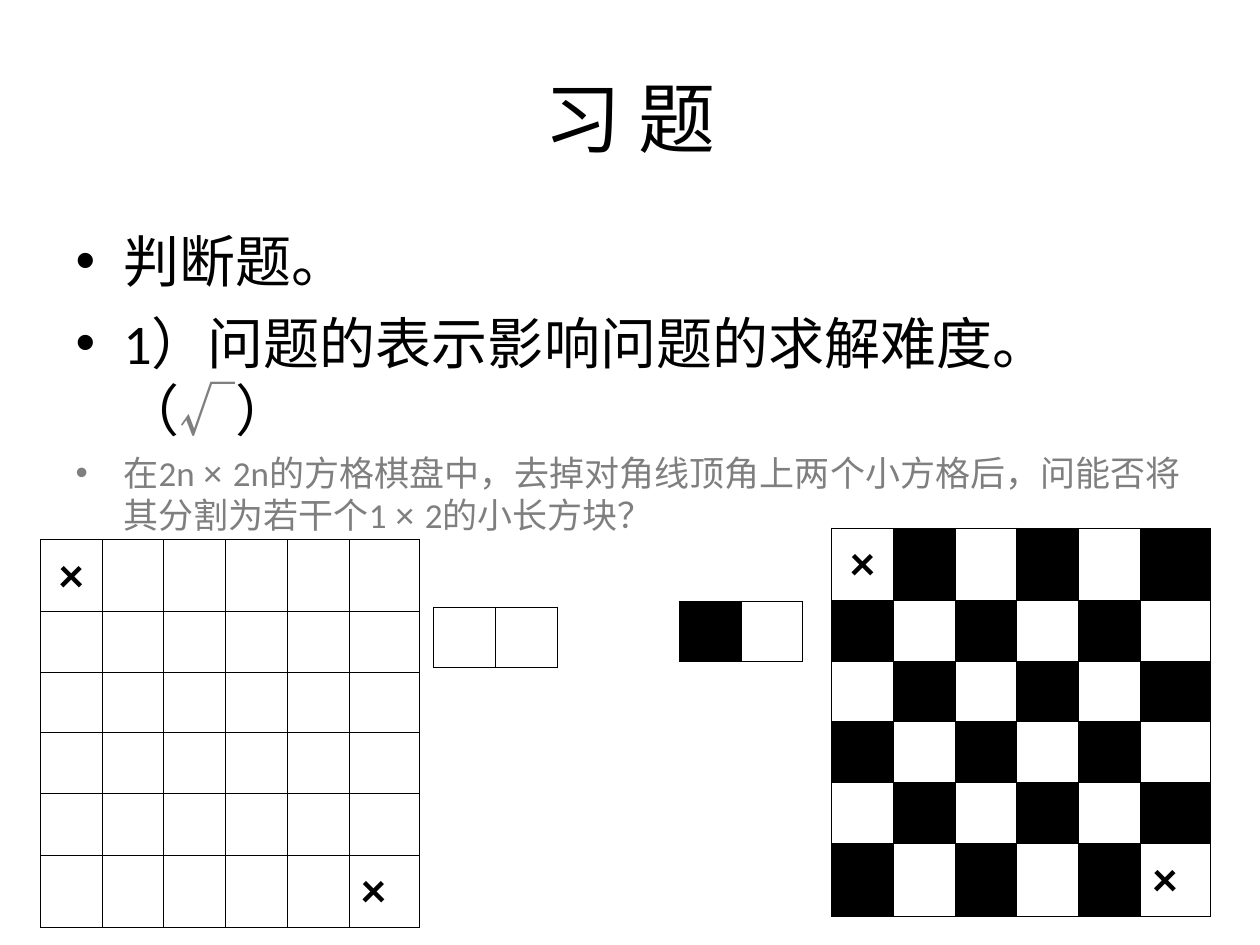
from lxml.etree import SubElement
from pptx import Presentation
from pptx.dml.color import RGBColor
from pptx.enum.text import MSO_ANCHOR, MSO_AUTO_SIZE, PP_ALIGN
from pptx.oxml.ns import qn
from pptx.util import Inches, Pt

BLACK = RGBColor(0x00, 0x00, 0x00)
WHITE = RGBColor(0xFF, 0xFF, 0xFF)
GRAY = RGBColor(0x7F, 0x7F, 0x7F)

BOARD_COLS = [0.49] * 5 + [0.56]
BOARD_ROWS = [0.57, 0.48, 0.48, 0.48, 0.49, 0.57]
DOMINO_COLS = [0.49] * 2
DOMINO_ROWS = [0.48]
BOARD_MARKS = {(0, 0): PP_ALIGN.CENTER, (5, 5): PP_ALIGN.LEFT}

EXERCISES = [
    (32, 0, BLACK, [("判断题。", "Calibri", BLACK)]),
    (32, 8, BLACK, [("1）问题的表示影响问题的求解难度。（", "Calibri", BLACK),
                    ("√", "Arial", GRAY), ("）", "Calibri", BLACK)]),
    (20, 5, GRAY, [("在2n ", "Calibri", GRAY), ("× ", "Arial", GRAY),
                   ("2n的方格棋盘中，去掉对角线顶角上两个小方格后，问能否将其分割为若干个1 ",
                    "Calibri", GRAY),
                   ("× ", "Arial", GRAY), ("2的小长方块？", "Calibri", GRAY)]),
]


class ExerciseSlide:
    """Style and element builders for the exercise slide."""

    font = "Calibri"
    border = Pt(0.45)

    def __init__(self, slide):
        self.slide = slide

    def place(self, placeholder, left, top, width, height):
        placeholder.left, placeholder.top = Inches(left), Inches(top)
        placeholder.width, placeholder.height = Inches(width), Inches(height)
        placeholder.text_frame.auto_size = MSO_AUTO_SIZE.NONE
        return placeholder.text_frame

    def style(self, run, size, color, font=None, bold=False):
        run.font.size = Pt(size)
        run.font.name = font or self.font
        run.font.color.rgb = color
        run.font.bold = bold

    def title(self, text, *box):
        frame = self.place(self.slide.shapes.title, *box)
        frame.text = text
        frame.vertical_anchor = MSO_ANCHOR.MIDDLE
        heading = frame.paragraphs[0]
        heading.alignment = PP_ALIGN.CENTER
        self.style(heading.runs[0], 44, BLACK)

    def bullets(self, items, *box):
        frame = self.place(self.slide.placeholders[1], *box)
        for index, (size, before, color, pieces) in enumerate(items):
            item = frame.add_paragraph() if index else frame.paragraphs[0]
            self.bullet(item, color)
            item.space_before = Pt(before)
            for text, font, run_color in pieces:
                run = item.add_run()
                run.text = text
                self.style(run, size, run_color, font)

    def bullet(self, paragraph, color):
        properties = paragraph._p.get_or_add_pPr()
        properties.set("marL", str(Inches(0.38)))
        properties.set("indent", str(Inches(-0.38)))
        bullet_color = SubElement(properties, qn("a:buClr"))
        SubElement(bullet_color, qn("a:srgbClr"), val=str(color))
        SubElement(properties, qn("a:buFont"), typeface="Arial")
        SubElement(properties, qn("a:buChar"), char="•")

    def grid(self, left, top, cols, rows, black_parity=None, marks=None):
        table = self.slide.shapes.add_table(
            len(rows), len(cols), Inches(left), Inches(top),
            Inches(sum(cols)), Inches(sum(rows))).table
        table.first_row = table.horz_banding = False
        for column, width in zip(table.columns, cols):
            column.width = Inches(width)
        for r, height in enumerate(rows):
            table.rows[r].height = Inches(height)
            for c in range(len(cols)):
                square = table.cell(r, c)
                self.outline(square)
                square.fill.solid()
                is_black = (r + c) % 2 == black_parity
                square.fill.fore_color.rgb = BLACK if is_black else WHITE
        for (r, c), alignment in (marks or {}).items():
            frame = table.cell(r, c).text_frame
            frame.text = "×"
            frame.paragraphs[0].alignment = alignment
            self.style(frame.paragraphs[0].runs[0], 28, BLACK, bold=True)

    def outline(self, cell):
        properties = cell._tc.get_or_add_tcPr()
        for side in ("lnL", "lnR", "lnT", "lnB"):
            line = SubElement(properties, qn(f"a:{side}"), w=str(self.border))
            fill = SubElement(line, qn("a:solidFill"))
            SubElement(fill, qn("a:srgbClr"), val=str(BLACK))


def main():
    presentation = Presentation()
    presentation.slide_width, presentation.slide_height = Inches(10), Inches(7.5)
    layout = presentation.slide_layouts[1]
    exercise = ExerciseSlide(presentation.slides.add_slide(layout))
    exercise.title("习 题", 0.5, 0.3, 9, 1.25)
    exercise.bullets(EXERCISES, 0.5, 1.75, 9.17, 4.95)
    exercise.grid(0.32, 4.28, BOARD_COLS, BOARD_ROWS, marks=BOARD_MARKS)
    exercise.grid(3.44, 4.82, DOMINO_COLS, DOMINO_ROWS)
    exercise.grid(6.6, 4.19, BOARD_COLS, BOARD_ROWS, 1, BOARD_MARKS)
    exercise.grid(5.39, 4.77, DOMINO_COLS, DOMINO_ROWS, 0)
    presentation.save("out.pptx")


if __name__ == "__main__":
    main()
